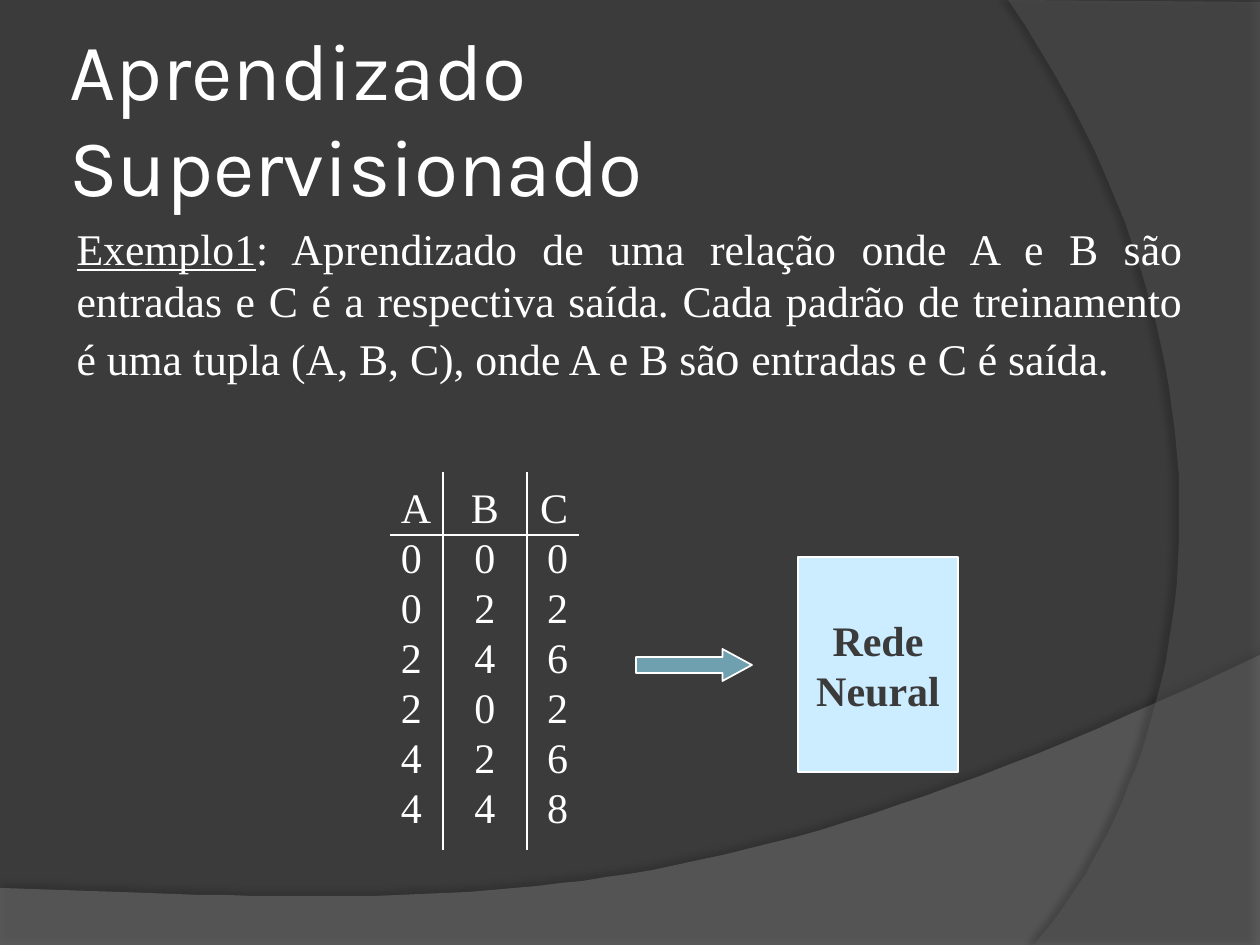
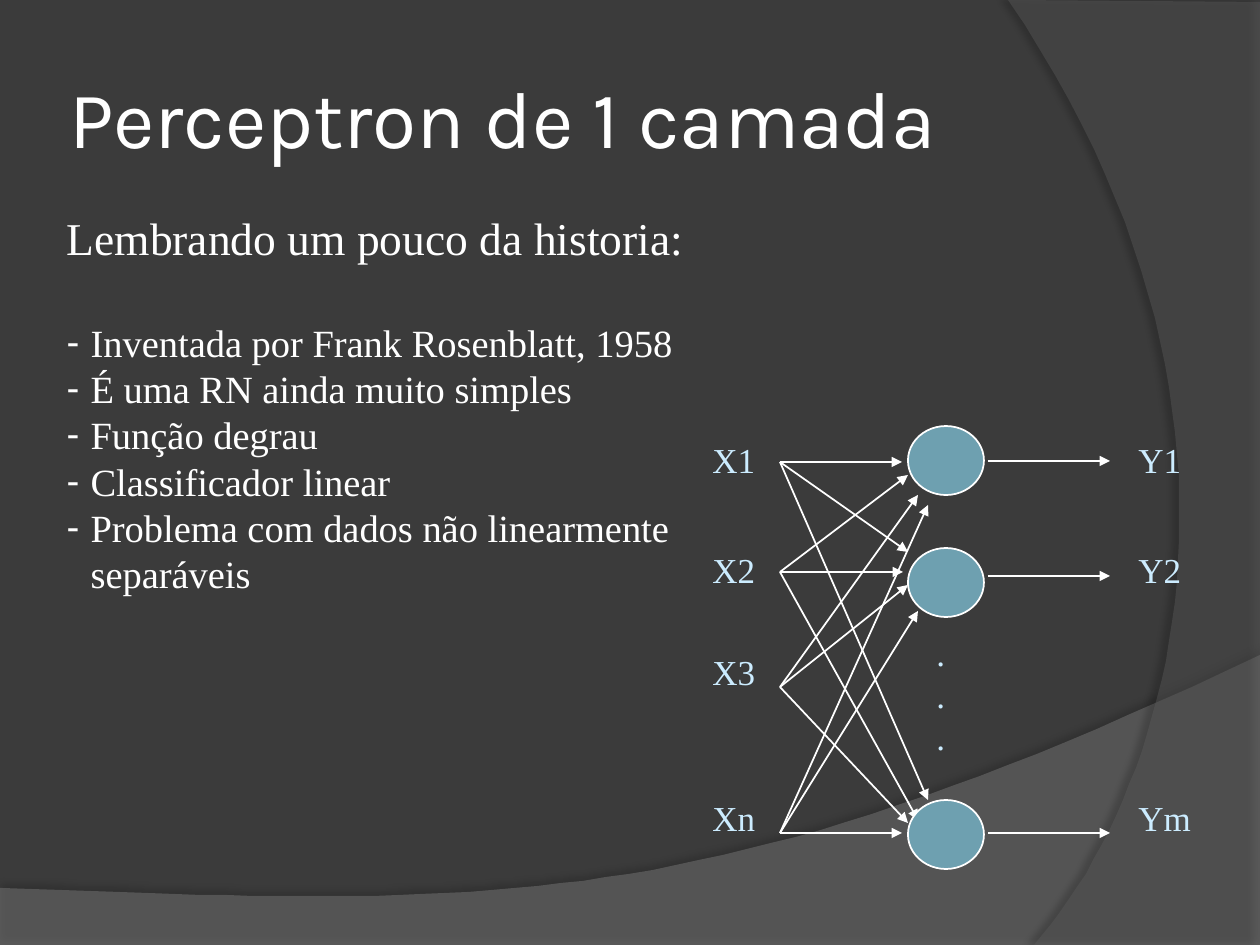
from lxml.etree import SubElement
from pptx import Presentation
from pptx.dml.color import RGBColor
from pptx.enum.shapes import MSO_CONNECTOR, MSO_SHAPE
from pptx.enum.text import MSO_ANCHOR as ANCHOR, MSO_AUTO_SIZE as FIT, PP_ALIGN as ALIGN
from pptx.oxml.ns import qn
from pptx.util import Emu, Pt

PX = 914400 / 126
WIDTH, HEIGHT = 1260, 945
CHARCOAL = RGBColor(0x3B, 0x3B, 0x3B)
WHITE = RGBColor(0xFF, 0xFF, 0xFF)
ICE = RGBColor(0xCC, 0xEC, 0xFF)
TEAL = RGBColor(0x6E, 0xA0, 0xB0)
LOWER_GREY = RGBColor(0x7F, 0x7F, 0x7F)
RIGHT_GREY = RGBColor(0x5E, 0x5E, 0x5E)
SERIF, TITLE_FONT = "Times New Roman", "Karla"
NO_GRID = "{2D5ABB26-0587-4C30-8999-92F81FD0307C}"


def px(*lengths):
    return [Emu(round(length * PX)) for length in lengths]


def write(paragraph, text, size=24, color=WHITE, font=SERIF, bold=False, underline=False):
    run = paragraph.add_run()
    run.text = text
    run.font.size = Pt(size)
    run.font.name = font
    run.font.bold = bold
    run.font.underline = underline
    run.font.color.rgb = color


def write_lines(frame, lines, align=ALIGN.LEFT, **style):
    for index, line in enumerate(lines):
        paragraph = frame.add_paragraph() if index else frame.paragraphs[0]
        paragraph.alignment = align
        write(paragraph, line, **style)


def set_bullet(paragraph, char=None, indent=0):
    props = paragraph._p.get_or_add_pPr()
    props.set("marL", str(px(indent)[0]))
    props.set("indent", str(-px(indent)[0]))
    if char:
        SubElement(props, qn("a:buChar")).set("char", char)
    else:
        SubElement(props, qn("a:buNone"))


def text_box(slide, box, lines, **style):
    frame = slide.shapes.add_textbox(*px(*box)).text_frame
    frame.word_wrap = True
    write_lines(frame, lines, **style)


def outlined_shape(slide, kind, box, fill):
    shape = slide.shapes.add_shape(kind, *px(*box))
    shape.shadow.inherit = False
    shape.fill.solid()
    shape.fill.fore_color.rgb = fill
    shape.line.color.rgb = WHITE
    shape.line.width = Pt(1)
    return shape


def rule(slide, start, end, arrow=False):
    connector = slide.shapes.add_connector(MSO_CONNECTOR.STRAIGHT, *px(*start, *end))
    connector.line.color.rgb = WHITE
    connector.line.width = Pt(1)
    if arrow:
        SubElement(connector.line._get_or_add_ln(), qn("a:tailEnd")).set("type", "triangle")
    SubElement(connector._element.spPr, qn("a:effectLst"))


def curve(start, control1, control2, end, steps=48):
    points = []
    for step in range(steps + 1):
        t = step / steps
        weights = (1 - t) ** 3, 3 * t * (1 - t) ** 2, 3 * t * t * (1 - t), t ** 3
        corners = start, control1, control2, end
        points.append(tuple(sum(w * c[axis] for w, c in zip(weights, corners)) for axis in (0, 1)))
    return points


def master_band(slide, master, order, outline, color, opacity, shadow_opacity, distance, direction):
    builder = slide.shapes.build_freeform(*outline[0], scale=PX)
    builder.add_line_segments(outline[1:], close=True)
    band = builder.convert_to_shape()
    band.fill.solid()
    band.fill.fore_color.rgb = color
    band.line.fill.background()
    band.shadow.inherit = False
    props = band._element.spPr
    fill_color = props.find(qn("a:solidFill")).find(qn("a:srgbClr"))
    SubElement(fill_color, qn("a:alpha")).set("val", str(opacity * 1000))
    shadow = SubElement(props.find(qn("a:effectLst")), qn("a:outerShdw"), {
        "blurRad": str(Pt(4)), "dist": str(Pt(distance)),
        "dir": str(direction * 60000), "algn": "ctr", "rotWithShape": "0"})
    shadow_color = SubElement(shadow, qn("a:srgbClr"), val="000000")
    SubElement(shadow_color, qn("a:alpha")).set("val", str(shadow_opacity * 1000))
    band._element.nvSpPr.cNvPr.set("id", str(100 + order))
    master.shapes._spTree.insert(2 + order, band._element)


def decorate_master(slide, master):
    master.background.fill.solid()
    master.background.fill.fore_color.rgb = CHARCOAL
    lower = [(0, HEIGHT), (WIDTH, HEIGHT)] + curve((WIDTH, 655), (704, 919), (493, 906), (0, 888))
    right = [(WIDTH, 2), (WIDTH, HEIGHT)] + curve((1034, HEIGHT), (1178, 780), (1283, 402), (1008, 0))
    master_band(slide, master, 0, lower, LOWER_GREY, 45, 35, 3.5, 270)
    master_band(slide, master, 1, right, RIGHT_GREY, 40, 45, 4, 180)


def place(placeholder, box):
    placeholder.left, placeholder.top, placeholder.width, placeholder.height = px(*box)
    frame = placeholder.text_frame
    frame.word_wrap = True
    frame.auto_size = FIT.NONE
    return frame


def set_title(slide, text):
    frame = place(slide.shapes.title, (63, 38, 1029, 157))
    frame.margin_left = frame.margin_right = frame.margin_top = frame.margin_bottom = px(6)[0]
    frame.vertical_anchor = ANCHOR.MIDDLE
    write_lines(frame, [text], size=46, font=TITLE_FONT)


def example_text(slide, box):
    paragraph = place(slide.placeholders[1], box).paragraphs[0]
    set_bullet(paragraph)
    paragraph.alignment = ALIGN.JUSTIFY
    paragraph.space_before = Pt(0)
    write(paragraph, "Exemplo1", size=25, underline=True)
    write(paragraph, ": Aprendizado de uma relação onde A e B são entradas e C é a respectiva saída. "
          "Cada padrão de treinamento é uma tupla (A, B, C), onde A e B sã", size=25)
    write(paragraph, "o", size=28)
    write(paragraph, " entradas e C é saída.", size=25)


def training_table(slide, box):
    left, top, width, height = box
    patterns = ["ABC", "000", "022", "246", "202", "426", "448"]
    column_widths = 53, 84, 52
    alignments = ALIGN.LEFT, ALIGN.CENTER, ALIGN.RIGHT
    row_height = 50
    table = slide.shapes.add_table(
        len(patterns), len(column_widths),
        *px(left, top + 14, width, row_height * len(patterns))).table
    table.first_row = table.horz_banding = False
    table._tbl.tblPr.find(qn("a:tableStyleId")).text = NO_GRID
    for column, column_width in zip(table.columns, column_widths):
        column.width = px(column_width)[0]
    for row, pattern in enumerate(patterns):
        table.rows[row].height = px(row_height)[0]
        for column, value in enumerate(pattern):
            cell = table.cell(row, column)
            cell.fill.background()
            cell.margin_left, cell.margin_right = px(11, 11) if column != 1 else (0, 0)
            cell.margin_top = cell.margin_bottom = 0
            write_lines(cell.text_frame, [value], align=alignments[column])
    for x in (left + column_widths[0], left + sum(column_widths[:2])):
        rule(slide, (x, top), (x, top + height))
    rule(slide, (left, top + 63), (left + width, top + 63))


def neural_box(slide, box):
    frame = outlined_shape(slide, MSO_SHAPE.RECTANGLE, box, ICE).text_frame
    frame.word_wrap = True
    frame.vertical_anchor = ANCHOR.MIDDLE
    write_lines(frame, ["Rede", "Neural"], align=ALIGN.CENTER, color=CHARCOAL, bold=True)


def supervised_slide(slide):
    set_title(slide, "Aprendizado Supervisionado")
    example_text(slide, (64, 215, 1131, 158))
    training_table(slide, (390, 472, 189, 378))
    flow_arrow = outlined_shape(slide, MSO_SHAPE.RIGHT_ARROW, (636, 649, 116, 32), TEAL)
    flow_arrow.adjustments[0], flow_arrow.adjustments[1] = 0.5, 0.92
    neural_box(slide, (798, 557, 160, 215))


def history_list(slide, box):
    frame = place(slide.placeholders[1], box)
    facts = ["Inventada por Frank Rosenblatt, 1958", "É uma RN ainda muito simples",
             "Função degrau", "Classificador linear",
             "Problema com dados não linearmente separáveis"]
    heading = frame.paragraphs[0]
    set_bullet(heading)
    heading.space_before = Pt(0)
    write(heading, "Lembrando um pouco da historia:", size=26)
    for index, fact in enumerate(facts):
        paragraph = frame.add_paragraph()
        set_bullet(paragraph, "-", 24)
        paragraph.space_before = Pt(0 if index else 31)
        paragraph.font.size = Pt(22)
        write(paragraph, fact, size=22)


def network(slide, box):
    left, top = box[:2]
    inputs = [
        ("X1", 6, 36, [(202, 36), (208, 126), (228, 374)]),
        ("X2", 116, 146, [(208, 49), (203, 146), (218, 394)]),
        ("X3", 218, 261, [(218, 69), (208, 159), (208, 397)]),
        ("Xn", 364, 407, [(228, 79), (218, 185), (202, 407)]),
    ]
    outputs = [("Y1", 6, 0, 35), ("Y2", 116, 122, 150), ("Ym", 364, 374, 407)]
    label_style = dict(size=20, color=ICE)

    for label, label_y, source_y, targets in inputs:
        text_box(slide, (left, top + label_y, 80, 55), [label], **label_style)
        for x, y in targets:
            rule(slide, (left + 80, top + source_y), (left + x, top + y), arrow=True)
    for label, label_y, neuron_y, arrow_y in outputs:
        outlined_shape(slide, MSO_SHAPE.OVAL, (left + 208, top + neuron_y, 76, 69), TEAL)
        rule(slide, (left + 288, top + arrow_y), (left + 410, top + arrow_y), arrow=True)
        text_box(slide, (left + 426, top + label_y, 80, 55), [label], **label_style)
    text_box(slide, (left + 224, top + 199, 34, 140), ["."] * 3, **label_style)


def perceptron_slide(slide):
    set_title(slide, "Perceptron de 1 camada")
    history_list(slide, (54, 204, 685, 403))
    network(slide, (700, 426, 506, 443))


def main():
    deck = Presentation()
    deck.slide_width, deck.slide_height = px(WIDTH, HEIGHT)
    layout = deck.slide_layouts[1]
    supervised, perceptron = (deck.slides.add_slide(layout) for _ in range(2))
    decorate_master(supervised, deck.slide_master)
    supervised_slide(supervised)
    perceptron_slide(perceptron)
    deck.save("out.pptx")


if __name__ == "__main__":
    main()
